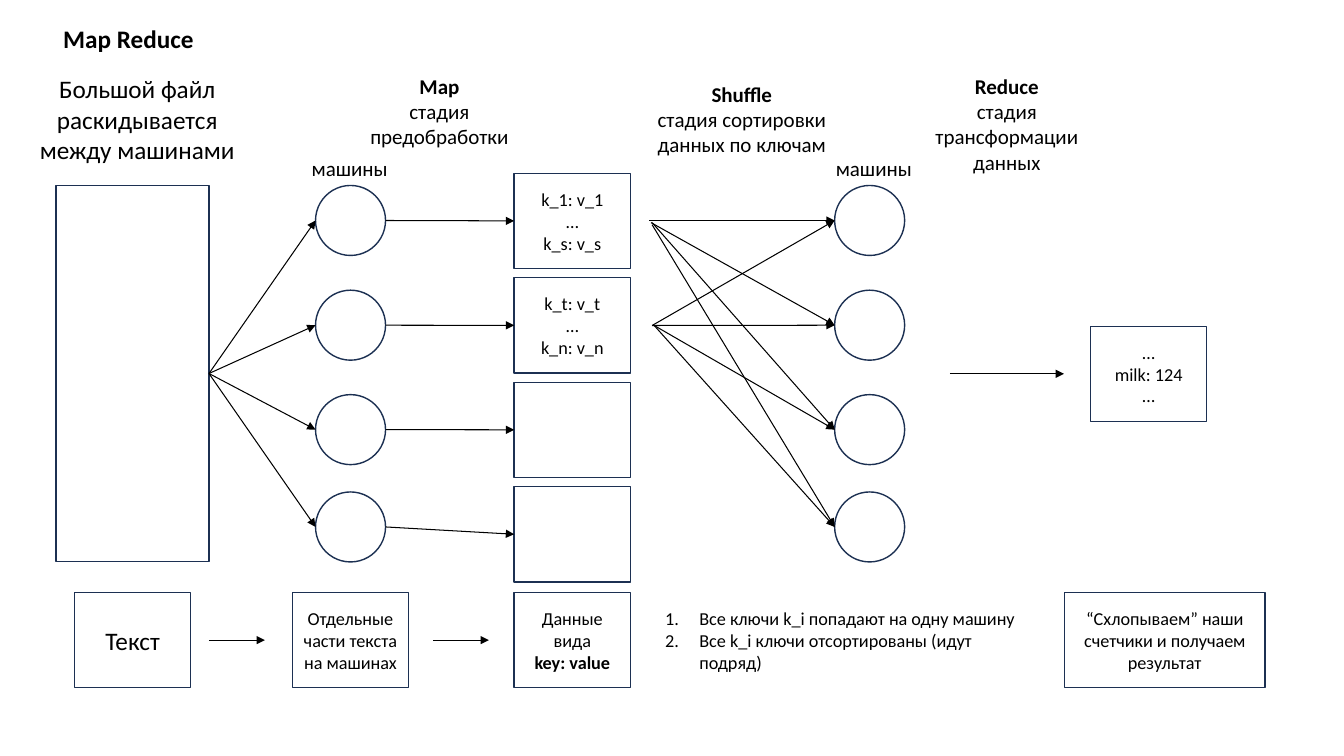
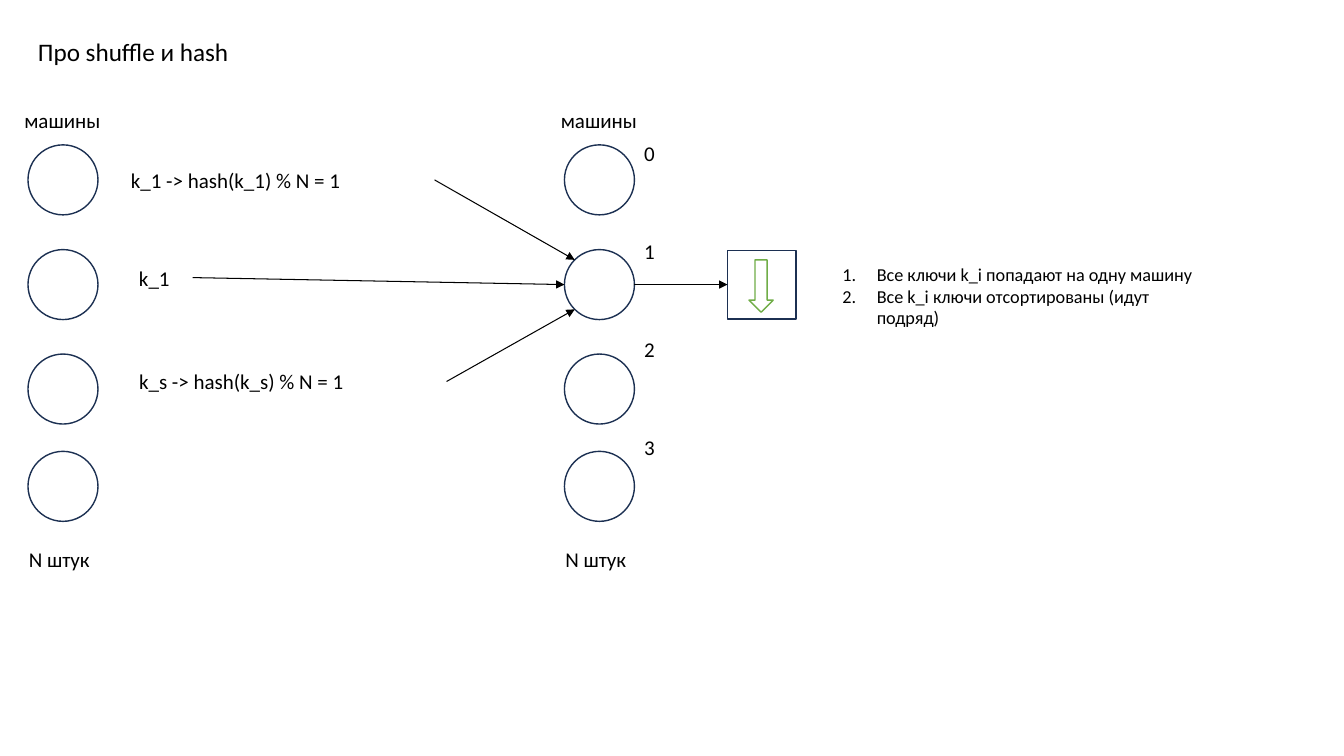
from dataclasses import dataclass
from typing import Optional

from lxml import etree
from pptx import Presentation
from pptx.dml.color import RGBColor
from pptx.enum.shapes import MSO_CONNECTOR, MSO_SHAPE
from pptx.enum.text import MSO_ANCHOR, MSO_AUTO_SIZE, PP_ALIGN
from pptx.oxml.ns import qn
from pptx.util import Pt

RECTANGLE = MSO_SHAPE.RECTANGLE
OVAL = MSO_SHAPE.OVAL
DOWN_ARROW = MSO_SHAPE.DOWN_ARROW
STRAIGHT = MSO_CONNECTOR.STRAIGHT
MIDDLE = MSO_ANCHOR.MIDDLE
TOP = MSO_ANCHOR.TOP
GROW = MSO_AUTO_SIZE.SHAPE_TO_FIT_TEXT
CENTER = PP_ALIGN.CENTER
LEFT = PP_ALIGN.LEFT

COLORS = {"text": "000000", "fill": "FFFFFF", "outline": "1C3052", "sort": "70AD47"}
FONT = "Calibri"
LEFT_SIDE, RIGHT_SIDE = 1, 3

DIAMETER = 50
RADIUS = DIAMETER / 2
MACHINE_OFFSETS = (0, 74.8, 149.4, 218.9)
KEY_BOX_WIDTH, BOX_HEIGHT = 83, 68
KEY_BOX_LEFT, KEY_BOX_TOP, KEY_BOX_STEP = 367.3, 123.8, 74.6
STEP_TOP = 423.2
STEP_MIDDLE = STEP_TOP + BOX_HEIGHT / 2
MACHINES = "машины"
KEY_RULES = (
    "Все ключи k_i попадают на одну машину",
    "Все k_i ключи отсортированы (идут подряд)",
)


@dataclass(frozen=True)
class Box:
    left: float
    top: float
    width: float
    height: float
    lines: tuple[str, ...] = ()
    size: float = 15
    bold_line: Optional[int] = None
    align: int = CENTER
    inset: float = 3.6
    numbered: bool = False


@dataclass(frozen=True)
class Arrow:
    start: tuple[float, float]
    end: tuple[float, float]
    source: Optional[object] = None
    target: Optional[object] = None


def color(name: str) -> RGBColor:
    return RGBColor.from_string(COLORS[name])


def apply(target: object, values: dict) -> None:
    for name, value in values.items():
        setattr(target, name, value)


def number(para) -> None:
    properties = para._p.get_or_add_pPr()
    properties.set("marL", str(Pt(36)))
    properties.set("indent", str(Pt(-24.5)))
    etree.SubElement(properties, qn("a:buAutoNum"), type="arabicPeriod")


def write(frame, box: Box, anchor) -> None:
    apply(frame, {
        "word_wrap": True,
        "vertical_anchor": anchor,
        "margin_left": Pt(7.2),
        "margin_right": Pt(7.2),
        "margin_top": Pt(box.inset),
        "margin_bottom": Pt(box.inset),
    })
    for index, line in enumerate(box.lines):
        para = frame.add_paragraph() if index else frame.paragraphs[0]
        para.alignment = box.align
        span = para.add_run()
        span.text = line
        apply(span.font, {"name": FONT, "size": Pt(box.size), "bold": index == box.bold_line})
        span.font.color.rgb = color("text")
        if box.numbered:
            number(para)


def add_label(page, box: Box) -> None:
    label = page.shapes.add_textbox(Pt(box.left), Pt(box.top), Pt(box.width), Pt(box.height))
    write(label.text_frame, box, TOP)
    label.text_frame.auto_size = GROW


def add_figure(page, box: Box, kind=RECTANGLE, outline: str = "outline"):
    figure = page.shapes.add_shape(
        kind, Pt(box.left), Pt(box.top), Pt(box.width), Pt(box.height))
    figure.shadow.inherit = False
    figure.fill.solid()
    figure.fill.fore_color.rgb = color("fill")
    figure.line.color.rgb = color(outline)
    figure.line.width = Pt(1)
    write(figure.text_frame, box, MIDDLE)
    return figure


def add_arrow(page, arrow: Arrow) -> None:
    line = page.shapes.add_connector(STRAIGHT, *map(Pt, arrow.start + arrow.end))
    if arrow.source is not None:
        line.begin_connect(arrow.source, RIGHT_SIDE)
    if arrow.target is not None:
        line.end_connect(arrow.target, LEFT_SIDE)
    line.line.color.rgb = color("text")
    line.line.width = Pt(0.75)
    etree.SubElement(line.line._get_or_add_ln(), qn("a:tailEnd"), type="triangle")
    etree.SubElement(line._element.spPr, qn("a:effectLst"))


def add_machines(page, left: float, top: float, label_left: float, label_top: float) -> list[float]:
    for offset in MACHINE_OFFSETS:
        add_figure(page, Box(left, top + offset, DIAMETER, DIAMETER), OVAL)
    add_label(page, Box(label_left, label_top, 93.6, 25, (MACHINES,)))
    return [top + offset + RADIUS for offset in MACHINE_OFFSETS]


def add_key_rules(page, left: float, top: float) -> None:
    add_label(page, Box(left, top, 288, 39, KEY_RULES, 13, align=LEFT, numbered=True))


def build_map_reduce(page) -> None:
    mapper_left, reducer_left, machine_top = 225.4, 596.2, 132.5
    for label in (
        Box(11.5, 13, 160.5, 29, ("Map Reduce",), 18, bold_line=0),
        Box(11.5, 49, 173, 73, ("Большой файл", "раскидывается между машинами"), 18),
        Box(243.4, 49, 141, 62, ("Map", "стадия предобработки"), bold_line=0),
        Box(459.4, 54.7, 141, 62, ("Shuffle", "стадия сортировки данных по ключам"), bold_line=0),
        Box(648.7, 49, 141, 80, ("Reduce", "стадия трансформации данных"), bold_line=0),
    ):
        add_label(page, label)

    source_file = add_figure(page, Box(40, 132.5, 109.3, 268.6))
    mapper_middles = add_machines(page, mapper_left, machine_top, 203, 107.3)
    reducer_middles = add_machines(page, reducer_left, machine_top, 577.4, 107.3)

    key_lines = (("k_1: v_1", "…", "k_s: v_s"), ("k_t: v_t", "…", "k_n: v_n"), (), ())
    for index, (lines, middle) in enumerate(zip(key_lines, mapper_middles)):
        key_box = add_figure(page, Box(
            KEY_BOX_LEFT, KEY_BOX_TOP + index * KEY_BOX_STEP,
            KEY_BOX_WIDTH, BOX_HEIGHT, lines, 13))
        add_arrow(page, Arrow((149.3, 266.8), (mapper_left, middle), source=source_file))
        add_arrow(page, Arrow(
            (mapper_left + DIAMETER, middle), (KEY_BOX_LEFT, middle), target=key_box))

    shuffle_starts = (
        ((463.7, 157.5), (465, 159), (465.8, 159), (465.8, 160.5)),
        ((465.8, 232.5), (465.8, 232.5), (467.3, 232.5), (467.3, 232.5)),
    )
    for starts in shuffle_starts:
        for start, middle in zip(starts, reducer_middles):
            add_arrow(page, Arrow(start, (reducer_left, middle)))

    for left, width, lines, size, bold_line in (
        (53.3, KEY_BOX_WIDTH, ("Текст",), 18, None),
        (208.8, KEY_BOX_WIDTH, ("Отдельные части текста на машинах",), 13, None),
        (KEY_BOX_LEFT, KEY_BOX_WIDTH, ("Данные вида", "key: value"), 13, 1),
        (760.3, 143.3, ("“Схлопываем” наши счетчики и получаем результат",), 13, None),
    ):
        add_figure(page, Box(left, STEP_TOP, width, BOX_HEIGHT, lines, size, bold_line))
    add_figure(page, Box(779, 233, KEY_BOX_WIDTH, BOX_HEIGHT, ("…", "milk: 124", "…"), 13))

    for left, right, middle in (
        (149.3, 189.2, STEP_MIDDLE), (309.5, 349.2, STEP_MIDDLE), (678.5, 760, 267),
    ):
        add_arrow(page, Arrow((left, middle), (right, middle)))
    add_key_rules(page, 456.5, 430.4)


def build_shuffle_hash(page) -> None:
    machine_top, reducer_left = 103.5, 403.2
    add_label(page, Box(20, 18.7, 463, 36, ("Про shuffle и hash",), 18, align=LEFT, inset=7.2))
    for left in (20, reducer_left):
        middles = add_machines(page, left, machine_top, left - 22.2, 73.4)
        add_label(page, Box(left - 6.5, 383, 62.6, 32.4, ("N штук",), align=LEFT, inset=7.2))
    for index in range(len(MACHINE_OFFSETS)):
        add_label(page, Box(453, 97.2 + 69.8 * index, 24, 25, (str(index),), align=LEFT))

    target_middle = middles[1]
    center = reducer_left + RADIUS
    diagonal = RADIUS * 0.5 ** 0.5
    for left, top, width, line, end in (
        (86.4, 116, 224, "k_1 -> hash(k_1) % N = 1", (center - diagonal, target_middle - diagonal)),
        (92.2, 185.8, 45.4, "k_1", (reducer_left, target_middle)),
        (92.2, 260, 226.8, "k_s -> hash(k_s) % N = 1", (center - diagonal, target_middle + diagonal)),
    ):
        add_label(page, Box(left, top, width, 25, (line,), align=LEFT))
        add_arrow(page, Arrow((left + width, top + 12.5), end))

    sorted_box = add_figure(page, Box(519.6, target_middle - 24.5, 49, 49))
    add_figure(page, Box(535, 185.6, 17.3, 37.4), DOWN_ARROW, "sort")
    add_arrow(page, Arrow(
        (reducer_left + DIAMETER, target_middle), (519.6, target_middle), target=sorted_box))
    add_key_rules(page, 583.2, 184.3)


def main() -> None:
    deck = Presentation()
    apply(deck, {"slide_width": Pt(960), "slide_height": Pt(540)})
    for build in (build_map_reduce, build_shuffle_hash):
        build(deck.slides.add_slide(deck.slide_layouts[6]))
    deck.save("out.pptx")


if __name__ == "__main__":
    main()
